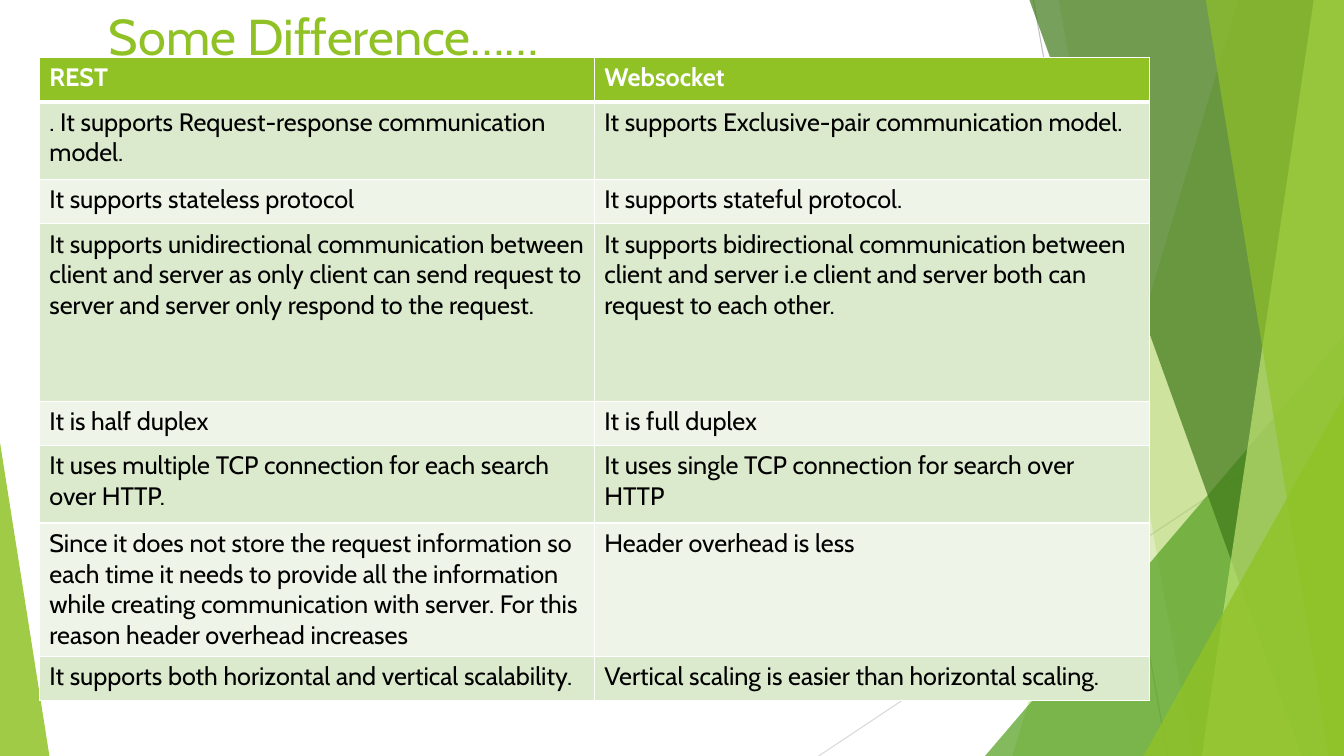
from dataclasses import dataclass

from lxml import etree
from pptx import Presentation
from pptx.dml.color import RGBColor
from pptx.enum.shapes import MSO_CONNECTOR, MSO_SHAPE
from pptx.enum.text import MSO_ANCHOR, PP_ALIGN
from pptx.oxml.ns import qn
from pptx.util import Inches, Pt

STRAIGHT = MSO_CONNECTOR.STRAIGHT
TRIANGLE = MSO_SHAPE.ISOSCELES_TRIANGLE
TOP = MSO_ANCHOR.TOP
LEFT = PP_ALIGN.LEFT

WIDTH, HEIGHT = 13.33, 7.5
TITLE_ONLY = 5


@dataclass(frozen=True)
class Theme:
    font: str = "Cabin"
    title_size: float = 36
    body_size: float = 18
    green: str = "90C226"
    leaf: str = "54A021"
    forest: str = "3F7819"
    lime: str = "C0E474"
    band_dark: str = "DBE9CD"
    band_light: str = "EEF4E8"
    white: str = "FFFFFF"
    black: str = "000000"
    gray: str = "BFBFBF"
    light_gray: str = "D9D9D9"


THEME = Theme()

COMPARISON = [
    ("REST", "Websocket"),
    (". It supports Request-response communication model.",
     "It supports Exclusive-pair communication model."),
    ("It supports stateless protocol", "It supports stateful protocol."),
    ("It supports unidirectional communication between client and server as only client "
     "can send request to server and server only respond to the request.",
     "It supports bidirectional communication between client and server i.e client and "
     "server both can request to each other."),
    ("It is half duplex", "It is full duplex"),
    ("It uses multiple TCP connection for each search over HTTP.",
     "It uses single TCP connection for search over HTTP"),
    ("Since it does not store the request information so each time it needs to provide "
     "all the information while creating communication with server. For this reason "
     "header overhead increases",
     "Header overhead is less"),
    ("It supports both horizontal and vertical scalability.",
     "Vertical scaling is easier than horizontal scaling."),
]
ROW_HEIGHTS = [0.44, 0.77, 0.44, 1.76, 0.44, 0.77, 1.32, 0.44]


def write_text(text_frame, text, size, color, bold=False):
    text_frame.word_wrap = True
    paragraph = text_frame.paragraphs[0]
    paragraph.alignment = LEFT
    run = paragraph.add_run()
    run.text = text
    run.font.name = THEME.font
    run.font.size = Pt(size)
    run.font.bold = bold
    run.font.color.rgb = RGBColor.from_string(color)


def paint(shape, color, opacity):
    """Give a shape a translucent fill, without outline or shadow."""
    shape.shadow.inherit = False
    shape.line.fill.background()
    shape.fill.solid()
    shape.fill.fore_color.rgb = RGBColor.from_string(color)
    color_element = next(shape.element.spPr.iter(qn("a:srgbClr")))
    etree.SubElement(color_element, qn("a:alpha"), val=str(opacity * 1000))


def add_thin_line(slide, start, end, color):
    line = slide.shapes.add_connector(STRAIGHT, *map(Inches, start + end))
    line.line.color.rgb = RGBColor.from_string(color)
    line.line.width = Pt(0.75)
    etree.SubElement(line.element.spPr, qn("a:effectLst"))


def add_panel(slide, top_x, bottom_x, color, opacity):
    """Fill the area from a slanted edge to the right side of the slide."""
    builder = slide.shapes.build_freeform(Inches(top_x), 0)
    corners = [(WIDTH, 0), (WIDTH, HEIGHT), (bottom_x, HEIGHT)]
    builder.add_line_segments([(Inches(x), Inches(y)) for x, y in corners], close=True)
    paint(builder.convert_to_shape(), color, opacity)


def add_corner_triangle(slide, left, top, width, apex, color, opacity):
    """Stand a triangle on the bottom edge; apex is 0 for left and 1 for right."""
    shape = slide.shapes.add_shape(
        TRIANGLE, *map(Inches, (left, top, width, HEIGHT - top)))
    shape.adjustments[0] = apex
    paint(shape, color, opacity)


def add_backdrop(slide):
    add_thin_line(slide, (10.25, 0), (11.58, HEIGHT), THEME.gray)
    add_thin_line(slide, (WIDTH, 4.03), (8.12, HEIGHT), THEME.light_gray)
    add_panel(slide, 12.28, 10.04, THEME.green, 30)
    add_panel(slide, 10.5, 11.83, THEME.green, 20)
    add_corner_triangle(slide, 9.77, 3.33, 3.56, 1, THEME.leaf, 72)
    add_panel(slide, 10.21, 12.91, THEME.forest, 70)
    add_panel(slide, 13.03, 11.92, THEME.lime, 70)
    add_panel(slide, 11.96, 13.18, THEME.green, 65)
    add_corner_triangle(slide, 11.34, 3.93, 1.99, 1, THEME.green, 80)
    add_corner_triangle(slide, 0, 4.39, 0.49, 0, THEME.green, 85)


def set_borders(cell, color, **widths):
    """Draw the cell borders lnL, lnR, lnT and lnB with widths in points."""
    properties = cell._tc.get_or_add_tcPr()
    for side, width in widths.items():
        border = etree.SubElement(properties, qn(f"a:{side}"), w=str(Pt(width)))
        fill = etree.SubElement(border, qn("a:solidFill"))
        etree.SubElement(fill, qn("a:srgbClr"), val=color)


def add_comparison_table(slide, left, top, width):
    columns = len(COMPARISON[0])
    table = slide.shapes.add_table(
        len(COMPARISON), columns, Inches(left), Inches(top),
        Inches(width), Inches(sum(ROW_HEIGHTS))).table
    for column in table.columns:
        column.width = Inches(width / columns)
    for row_index, texts in enumerate(COMPARISON):
        table.rows[row_index].height = Inches(ROW_HEIGHTS[row_index])
        header = row_index == 0
        band = THEME.band_dark if row_index % 2 else THEME.band_light
        for column_index, text in enumerate(texts):
            cell = table.cell(row_index, column_index)
            set_borders(cell, THEME.white, lnL=1, lnR=1,
                        lnT=3 if row_index == 1 else 1, lnB=3 if header else 1)
            cell.fill.solid()
            cell.fill.fore_color.rgb = RGBColor.from_string(
                THEME.green if header else band)
            write_text(cell.text_frame, text, THEME.body_size,
                       THEME.white if header else THEME.black, bold=header)


def place_title(slide, text, left, top, width, height):
    title = slide.shapes.title
    title.left, title.top, title.width, title.height = map(
        Inches, (left, top, width, height))
    title.text_frame.vertical_anchor = TOP
    write_text(title.text_frame, text, THEME.title_size, THEME.green)
    title.element.getparent().append(title.element)


def main():
    presentation = Presentation()
    presentation.slide_width = Inches(WIDTH)
    presentation.slide_height = Inches(HEIGHT)
    slide = presentation.slides.add_slide(presentation.slide_layouts[TITLE_ONLY])
    add_backdrop(slide)
    add_comparison_table(slide, 0.39, 0.57, 11.01)
    place_title(slide, "Some Difference……", 0.98, 0, 9.4, 1.44)
    presentation.save("out.pptx")


if __name__ == "__main__":
    main()
